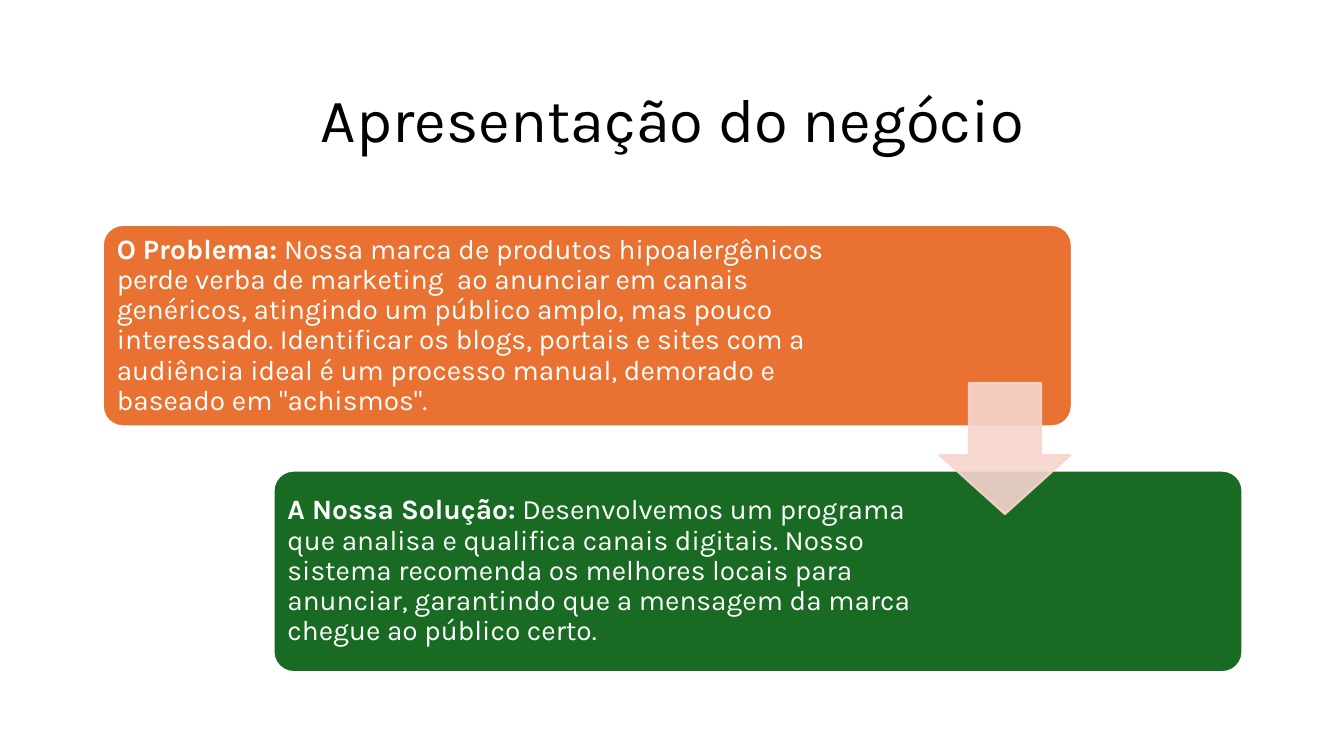
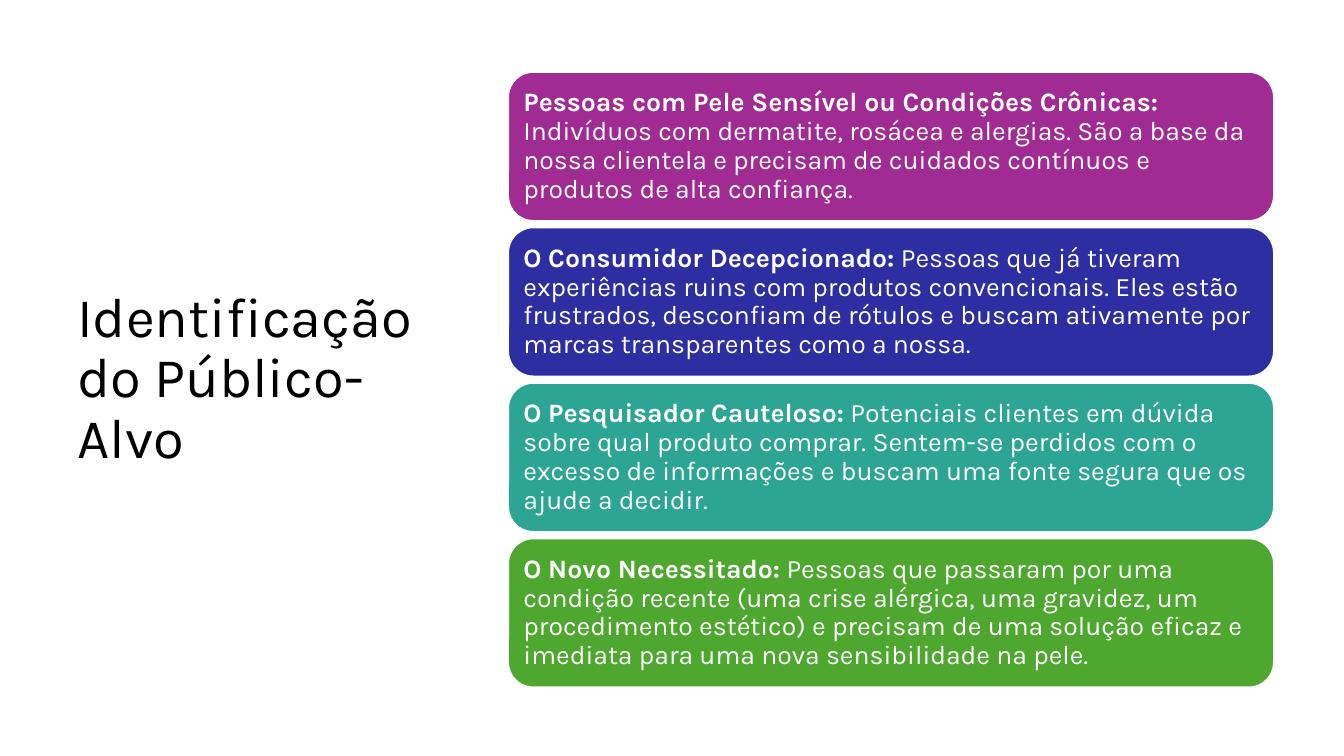
from dataclasses import dataclass

from lxml.etree import SubElement
from pptx import Presentation
from pptx.dml.color import RGBColor
from pptx.enum.shapes import MSO_SHAPE
from pptx.enum.text import MSO_ANCHOR, MSO_AUTO_SIZE, PP_ALIGN
from pptx.oxml.ns import qn
from pptx.util import Inches, Pt

FONT = "Karla"
BLACK, WHITE, BLUSH = "000000", "FFFFFF", "F7D5CE"
SLIDE_W, SLIDE_H = Inches(13.333), Inches(7.5)
INSET = Inches(0.08)
FRAME = {"word_wrap": True, "auto_size": MSO_AUTO_SIZE.NONE,
         "vertical_anchor": MSO_ANCHOR.MIDDLE}
CARD_MARGINS = {"margin_left": INSET, "margin_top": INSET, "margin_bottom": INSET}


@dataclass(frozen=True)
class Box:
    """A rectangle in percent of the slide's width and height."""
    x: float
    y: float
    w: float
    h: float

    def emu(self) -> tuple[int, int, int, int]:
        return (across(self.x), down(self.y), across(self.w), down(self.h))


@dataclass(frozen=True)
class Card:
    heading: str
    body: str
    color: str


@dataclass(frozen=True)
class CardStyle:
    size: int
    corner: float
    right_gap: float = 0  # percent of the slide's width


def across(percent: float) -> int:
    return round(SLIDE_W * percent / 100)


def down(percent: float) -> int:
    return round(SLIDE_H * percent / 100)


def rgb(value: str) -> RGBColor:
    return RGBColor.from_string(value)


def set_all(target, values: dict) -> None:
    for name, value in values.items():
        setattr(target, name, value)


def add_run(p, text: str, size: int, color: str, bold: bool = False) -> None:
    r = p.add_run()
    r.text = text
    set_all(r.font, {"name": FONT, "size": Pt(size), "bold": bold})
    r.font.color.rgb = rgb(color)


def add_titled_slide(prs, text: str, box: Box, size: int, align: PP_ALIGN):
    s = prs.slides.add_slide(prs.slide_layouts[5])
    title = s.shapes.title
    set_all(title, dict(zip(("left", "top", "width", "height"), box.emu())))
    set_all(title.text_frame, FRAME)
    p = title.text_frame.paragraphs[0]
    set_all(p, {"alignment": align, "line_spacing": 0.9})
    add_run(p, text, size, BLACK)
    return s


def add_filled(s, kind: MSO_SHAPE, box: Box, fill: str, line: str):
    sp = s.shapes.add_shape(kind, *box.emu())
    sp.shadow.inherit = False
    sp.fill.solid()
    sp.fill.fore_color.rgb = rgb(fill)
    sp.line.color.rgb = rgb(line)
    sp.line.width = Pt(1.5)
    return sp


def add_card(s, card: Card, box: Box, style: CardStyle) -> None:
    sp = add_filled(s, MSO_SHAPE.ROUNDED_RECTANGLE, box, card.color, WHITE)
    sp.adjustments[0] = style.corner
    tf = sp.text_frame
    set_all(tf, FRAME | CARD_MARGINS)
    tf.margin_right = INSET + across(style.right_gap)
    p = tf.paragraphs[0]
    set_all(p, {"alignment": PP_ALIGN.LEFT, "line_spacing": 0.9})
    add_run(p, card.heading, style.size, WHITE, bold=True)
    add_run(p, " " + card.body, style.size, WHITE)


def add_step_arrow(s, box: Box, opacity: int) -> None:
    sp = add_filled(s, MSO_SHAPE.DOWN_ARROW, box, BLUSH, BLUSH)
    sp.adjustments[0], sp.adjustments[1] = 0.55, 0.45
    for color in sp._element.spPr.iter(qn("a:srgbClr")):
        SubElement(color, qn("a:alpha"), val=str(opacity * 1000))


PROBLEM = Card(
    "O Problema:",
    "Nossa marca de produtos hipoalergênicos perde verba de marketing  ao anunciar em "
    "canais genéricos, atingindo um público amplo, mas pouco interessado. Identificar os "
    "blogs, portais e sites com a audiência ideal é um processo manual, demorado e "
    'baseado em "achismos".', "E97132")
SOLUTION = Card(
    "A Nossa Solução:",
    "Desenvolvemos um programa que analisa e qualifica canais digitais. Nosso sistema "
    "recomenda os melhores locais para anunciar, garantindo que a mensagem da marca "
    "chegue ao público certo.", "196B24")
AUDIENCES = [
    Card("Pessoas com Pele Sensível ou Condições Crônicas:",
         "Indivíduos com dermatite, rosácea e alergias. São a base da nossa clientela e "
         "precisam de cuidados contínuos e produtos de alta confiança.", "A02B93"),
    Card("O Consumidor Decepcionado:",
         "Pessoas que já tiveram experiências ruins com produtos convencionais. Eles estão "
         "frustrados, desconfiam de rótulos e buscam ativamente por marcas transparentes "
         "como a nossa.", "2C2EA2"),
    Card("O Pesquisador Cauteloso:",
         "Potenciais clientes em dúvida sobre qual produto comprar. Sentem-se perdidos com "
         "o excesso de informações e buscam uma fonte segura que os ajude a decidir.",
         "2DA594"),
    Card("O Novo Necessitado:",
         "Pessoas que passaram por uma condição recente (uma crise alérgica, uma gravidez, "
         "um procedimento estético) e precisam de uma solução eficaz e imediata para uma "
         "nova sensibilidade na pele.", "4EA72E"),
]


def build_business(prs) -> None:
    s = add_titled_slide(prs, "Apresentação do negócio", Box(12.5, 8, 75.15, 16.53),
                         44, PP_ALIGN.CENTER)
    add_card(s, PROBLEM, Box(7.65, 29.75, 72.1, 26.65), CardStyle(20, 0.1, 14.6))
    add_card(s, SOLUTION, Box(20.35, 62.25, 72.1, 26.65), CardStyle(20, 0.1, 22.5))
    add_step_arrow(s, Box(69.9, 50.65, 9.75, 17.35), opacity=90)


def build_audience(prs) -> None:
    s = add_titled_slide(prs, "Identificação do Público-Alvo", Box(5, 8, 28.65, 84.4),
                         40, PP_ALIGN.LEFT)
    stack = Box(37.8, 9.5, 57, 81.45)
    card_h = 19.75
    pitch = (stack.h - card_h) / (len(AUDIENCES) - 1)
    for i, card in enumerate(AUDIENCES):
        add_card(s, card, Box(stack.x, stack.y + i * pitch, stack.w, card_h),
                 CardStyle(19, 0.17))


def main() -> None:
    prs = Presentation()
    prs.slide_width, prs.slide_height = SLIDE_W, SLIDE_H
    build_business(prs)
    build_audience(prs)
    prs.save("out.pptx")


if __name__ == "__main__":
    main()
